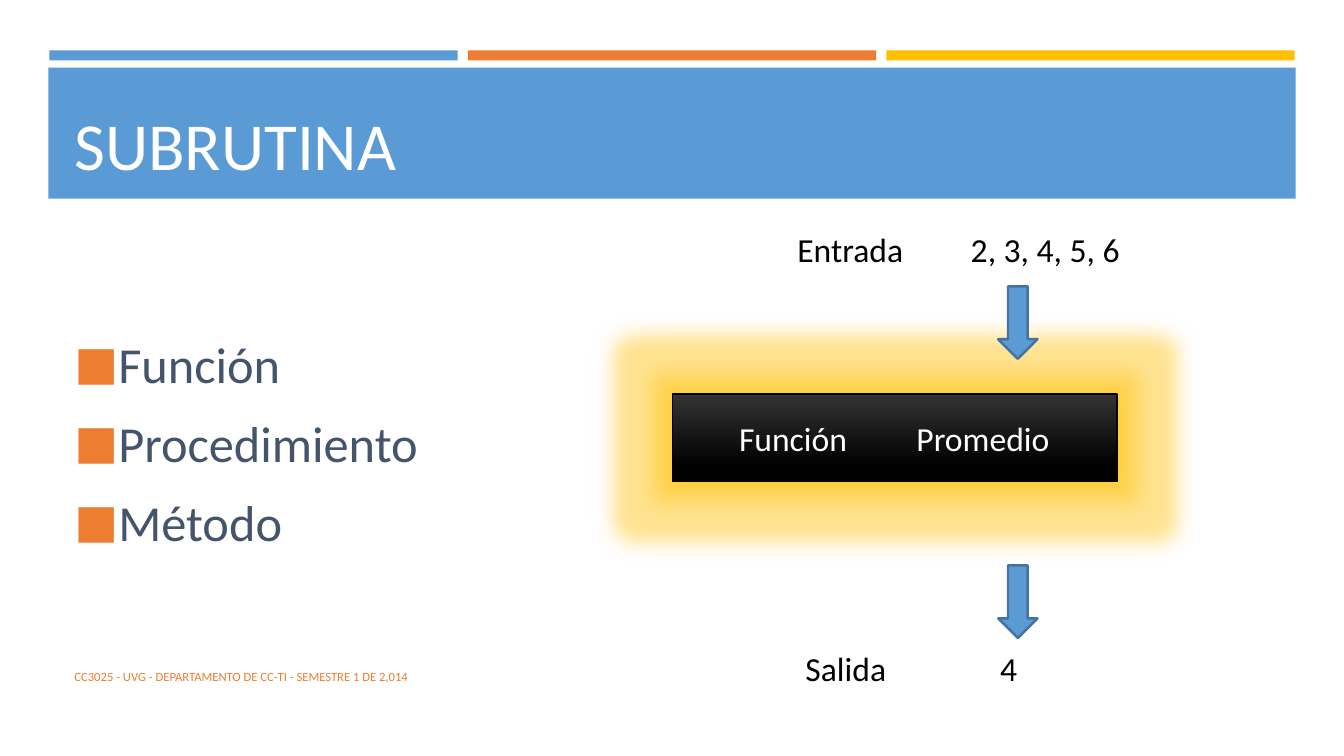
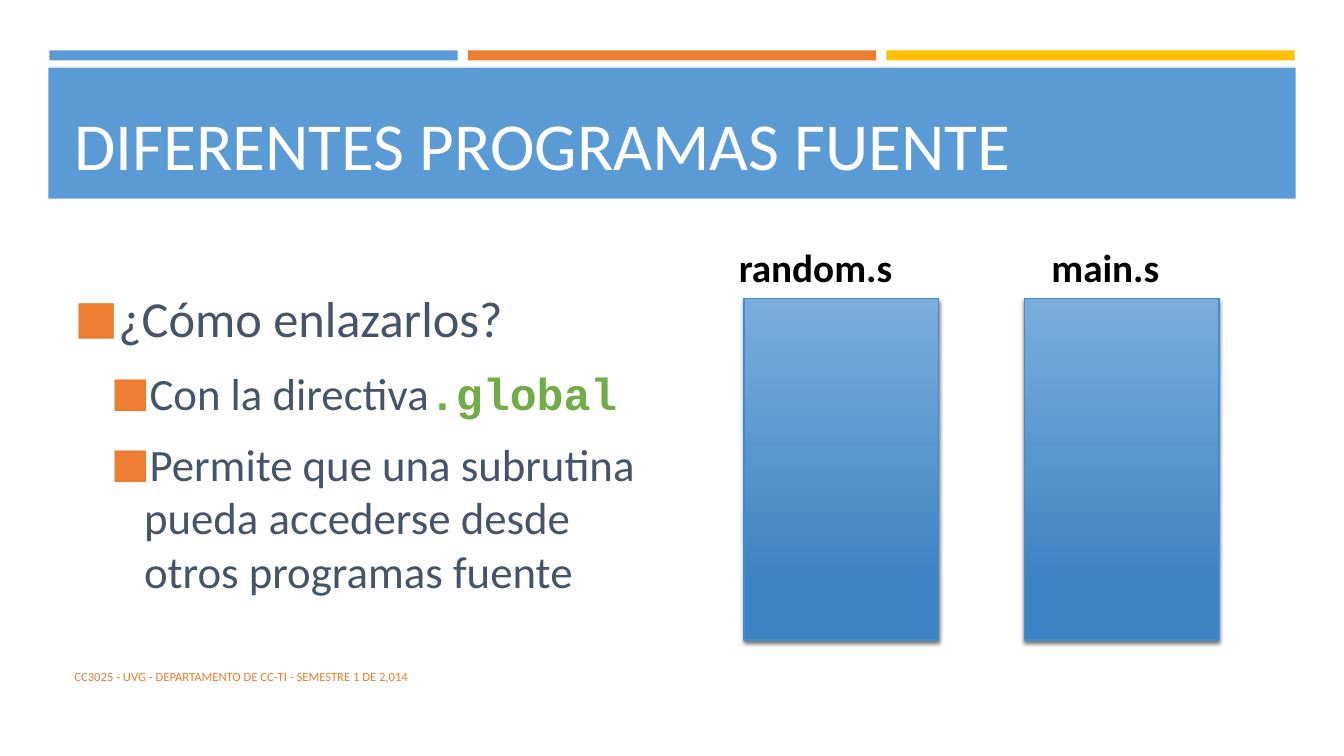
import pptx
import pptx.util
import pptx.dml.color
import pptx.enum.shapes
import pptx.enum.text
import pptx.oxml
import pptx.oxml.ns

Inches = pptx.util.Inches
Pt = pptx.util.Pt
SHAPE = pptx.enum.shapes.MSO_SHAPE
ANCHOR = pptx.enum.text.MSO_ANCHOR
FIT = pptx.enum.text.MSO_AUTO_SIZE

BLUE, ORANGE, YELLOW = "5B9BD5", "ED7D31", "FFC000"
WHITE, BLACK, SLATE, GREEN = "FFFFFF", "000000", "44546A", "70AD47"
MARGIN = 0.64
FOOTER = "CC3025 - UVG - DEPARTAMENTO DE CC-TI - SEMESTRE 1 DE 2,014"

TITLE_FORMAT = {"size": Pt(48), "color": WHITE}
FOOTER_FORMAT = {"size": Pt(9), "color": ORANGE}
LABEL_FORMAT = {"size": Pt(24), "color": BLACK}
FILE_FORMAT = {"size": Pt(28), "color": BLACK, "bold": True}
BODY_FORMATS = [{"size": Pt(36), "color": SLATE}, {"size": Pt(32), "color": SLATE}]
CODE_FORMAT = {"size": Pt(32), "color": GREEN, "bold": True, "name": "Courier New"}


def rgb(hex_color):
    """Turn a hex string into a colour."""
    return pptx.dml.color.RGBColor.from_string(hex_color)


def xml(markup):
    """Parse a drawing element whose markup holds one %s for the namespace."""
    return pptx.oxml.parse_xml(markup % pptx.oxml.ns.nsdecls("a"))


def place(box):
    """Convert a left, top, width, height box to lengths."""
    return [Inches(value) for value in box]


def add_run(paragraph, text, text_format):
    """Append a run and set its font from a dict."""
    run = paragraph.add_run()
    run.text = text
    values = {"name": "Calibri", "bold": False, **text_format}
    run.font.color.rgb = rgb(values.pop("color"))
    for name, value in values.items():
        setattr(run.font, name, value)


def add_tab_stop(paragraph, position):
    """Give a paragraph one left tab stop, in inches."""
    paragraph._p.get_or_add_pPr().append(xml(
        f'<a:tabLst %s><a:tab pos="{Inches(position)}" algn="l"/></a:tabLst>'))


def add_text_box(slide, box, anchor=ANCHOR.TOP):
    """Add a wrapping text box and return its text frame."""
    frame = slide.shapes.add_textbox(*place(box)).text_frame
    frame.word_wrap = True
    frame.vertical_anchor = anchor
    return frame


def add_line_of_text(slide, box, text, text_format, anchor):
    """Add a text box with one line of text."""
    frame = add_text_box(slide, box, anchor)
    add_run(frame.paragraphs[0], text, text_format)


def add_label(slide, box, text, text_format, tab=None):
    """Add a tightly spaced label, with an optional tab stop."""
    frame = add_text_box(slide, box)
    frame.auto_size = FIT.SHAPE_TO_FIT_TEXT
    paragraph = frame.paragraphs[0]
    paragraph.line_spacing = 0.9
    if tab:
        add_tab_stop(paragraph, tab)
    add_run(paragraph, text, text_format)


def add_block(slide, kind, box, fill, line=None, width=1):
    """Add a shape with a flat fill or a downward pair of gradient colours."""
    shape = slide.shapes.add_shape(kind, *place(box))
    shape.shadow.inherit = False
    if isinstance(fill, str):
        shape.fill.solid()
        shape.fill.fore_color.rgb = rgb(fill)
    else:
        shape.fill.gradient()
        shape.fill.gradient_angle = 270
        for stop, color, position in zip(shape.fill.gradient_stops, fill, (0, 0.84)):
            stop.color.rgb = rgb(color)
            stop.position = position
    if line:
        shape.line.color.rgb = rgb(line)
        shape.line.width = Pt(width)
    else:
        shape.line.fill.background()
    return shape


def add_effect(shape, tag, attributes, color, opacity):
    """Add a coloured glow or shadow to a shape."""
    effects = shape._element.spPr.find(pptx.oxml.ns.qn("a:effectLst"))
    effects.append(xml(
        f'<a:{tag} %s {attributes}><a:srgbClr val="{color}">'
        f'<a:alpha val="{opacity * 1000}"/></a:srgbClr></a:{tag}>'))


def add_frame(slide, title):
    """Draw the top bars, title band, title and footer."""
    for column, color in enumerate((BLUE, ORANGE, YELLOW)):
        add_block(slide, SHAPE.RECTANGLE, (0.49 + 4.15 * column, 0.5, 4.05, 0.1), color)
    add_block(slide, SHAPE.RECTANGLE, (0.48, 0.67, 12.37, 1.3), BLUE)
    add_line_of_text(slide, (MARGIN, 0.78, 12.06, 1.09), title, TITLE_FORMAT, ANCHOR.BOTTOM)
    add_line_of_text(slide, (MARGIN, 6.51, 7.56, 0.4), FOOTER, FOOTER_FORMAT, ANCHOR.MIDDLE)


def add_bullets(slide, box, items):
    """Write (level, runs) items as square-bulleted paragraphs."""
    frame = add_text_box(slide, box, ANCHOR.MIDDLE)
    for index, (level, runs) in enumerate(items):
        paragraph = frame.add_paragraph() if index else frame.paragraphs[0]
        paragraph.level = level
        properties = paragraph._p.get_or_add_pPr()
        properties.set("marL", str(Inches(0.33 + 0.36 * level)))
        properties.set("indent", str(Inches(-0.33)))
        for markup in (
            '<a:spcBef %s><a:spcPct val="20000"/></a:spcBef>',
            '<a:spcAft %s><a:spcPts val="600"/></a:spcAft>',
            f'<a:buClr %s><a:srgbClr val="{ORANGE}"/></a:buClr>',
            '<a:buSzPct %s val="92000"/>',
            '<a:buFont %s typeface="Calibri"/>',
            '<a:buChar %s char="■"/>',
        ):
            properties.append(xml(markup))
        for text, text_format in runs:
            add_run(paragraph, text, text_format or BODY_FORMATS[level])


def add_function_flow(slide, box):
    """Draw input, glowing function box and output, joined by arrows."""
    left, top, width, height = box
    function_box = add_block(slide, SHAPE.RECTANGLE, (left, top + 1.64, width, 0.87),
                             ("333333", BLACK), BLACK)
    add_effect(function_box, "glow", f'rad="{Inches(0.39)}"', YELLOW, 40)
    add_effect(function_box, "outerShdw", f'blurRad="{Inches(0.14)}" dist="0"', YELLOW, 50)
    frame = function_box.text_frame
    frame.margin_left = Inches(0.66)
    frame.vertical_anchor = ANCHOR.MIDDLE
    paragraph = frame.paragraphs[0]
    paragraph.alignment = pptx.enum.text.PP_ALIGN.LEFT
    add_tab_stop(paragraph, 1.76)
    add_run(paragraph, "Función\tPromedio", {**LABEL_FORMAT, "color": WHITE})
    add_label(slide, (left + 1.14, top, 4.57, 0.46), "Entrada\t2, 3, 4, 5, 6",
              LABEL_FORMAT, 1.72)
    add_label(slide, (left + 1.22, top + height - 0.46, 4.41, 0.46), "Salida\t4",
              LABEL_FORMAT, 1.93)
    for offset in (0.57, 3.34):
        add_block(slide, SHAPE.DOWN_ARROW, (left + 3.23, top + offset, 0.39, 0.72),
                  BLUE, "43739E", 1.75)


def add_source_file(slide, box, name, label_left, label_width):
    """Draw a source file block with its name above it."""
    left, top, width, height = box
    block = add_block(slide, SHAPE.RECTANGLE, box, ("7BADDC", "3C83C3"), "438CCF")
    add_effect(block, "outerShdw",
               f'blurRad="{Pt(3)}" dist="{Pt(2)}" dir="5400000" rotWithShape="0"', BLACK, 55)
    add_label(slide, (left + label_left, top - 0.54, label_width, 0.53), name, FILE_FORMAT)


def build_subroutine_slide(slide):
    """Build the slide that presents subroutines."""
    add_frame(slide, "SUBRUTINA")
    add_bullets(slide, (MARGIN, 2.38, 12.06, 4.02),
                [(0, [(name, None)]) for name in ("Función", "Procedimiento", "Método")])
    add_function_flow(slide, (6.67, 2.27, 4.41, 4.61))


def build_sources_slide(slide):
    """Build the slide about linking several source files."""
    add_frame(slide, "DIFERENTES PROGRAMAS FUENTE")
    add_bullets(slide, (MARGIN, 2.38, 5.82, 4.02), [
        (0, [("¿Cómo enlazarlos?", None)]),
        (1, [("Con la directiva", None), (".global", CODE_FORMAT)]),
        (1, [("Permite que una subrutina pueda accederse desde otros programas fuente", None)]),
    ])
    add_source_file(slide, (7.38, 2.96, 1.93, 3.39), "random.s", -0.15, 2.23)
    add_source_file(slide, (10.16, 2.96, 1.93, 3.39), "main.s", 0.17, 1.57)


presentation = pptx.Presentation()
presentation.slide_width = Inches(13.33)
presentation.slide_height = Inches(7.5)
for build in (build_subroutine_slide, build_sources_slide):
    build(presentation.slides.add_slide(presentation.slide_layouts[6]))
presentation.save("out.pptx")
